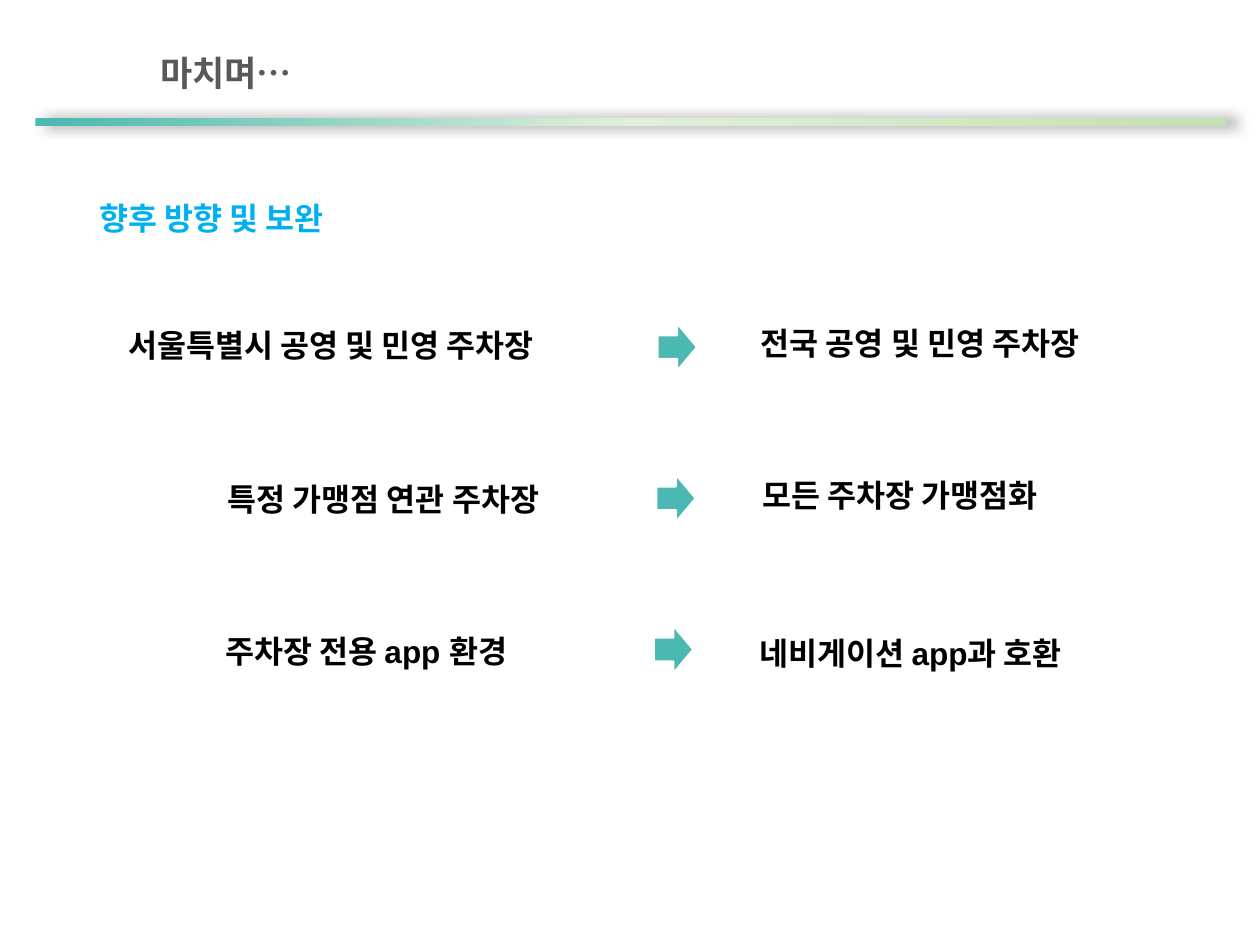
from copy import deepcopy
from dataclasses import dataclass

from lxml import etree
from pptx import Presentation
from pptx.dml.color import RGBColor
from pptx.enum.shapes import MSO_SHAPE
from pptx.enum.text import MSO_ANCHOR, MSO_AUTO_SIZE, PP_ALIGN
from pptx.oxml.ns import qn
from pptx.util import Inches, Pt

RECTANGLE = MSO_SHAPE.RECTANGLE
RIGHT_ARROW = MSO_SHAPE.RIGHT_ARROW
LEFT, CENTER = PP_ALIGN.LEFT, PP_ALIGN.CENTER
TOP = MSO_ANCHOR.TOP
FIT_SHAPE = MSO_AUTO_SIZE.SHAPE_TO_FIT_TEXT
TITLE_ONLY = 5


@dataclass(frozen=True)
class Theme:
    """Colours, fonts and type sizes of the slide."""
    teal: str = "4BB9B1"
    pale_green: str = "E2F0D9"
    green: str = "C5E0B4"
    white: str = "FFFFFF"
    ink: str = "000000"
    title_grey: str = "595959"
    heading_blue: str = "00B0F0"
    latin: str = "Arial"
    korean: str = "Noto Sans CJK KR"
    title_size: int = 20
    body_size: int = 18


THEME = Theme()

DIRECTIONS = [
    ("서울특별시 공영 및 민영 주차장", (0.92, 2.54, 3.88), 5.22,
     "전국 공영 및 민영 주차장", (5.94, 2.52, 3.13)),
    ("특정 가맹점 연관 주차장", (1.71, 3.76, 3.07), 5.21,
     "모든 주차장 가맹점화", (5.95, 3.73, 3.13)),
    ("주차장 전용 app 환경", (1.69, 4.97, 3.07), 5.19,
     "네비게이션 app과 호환", (5.93, 4.98, 3.13)),
]
FIRST_ARROW_TOP, ARROW_STEP = 2.57, 1.2


def place(shape, box):
    """Move and size a shape to a box given in inches."""
    shape.left, shape.top, shape.width, shape.height = map(Inches, box)


def write(shape, text, *, size=THEME.body_size, color=THEME.ink,
          font=THEME.latin, align=LEFT, spacing=1.0):
    """Put one bold formatted paragraph into a shape."""
    frame = shape.text_frame
    frame.text = text
    frame.word_wrap = True
    frame.auto_size = FIT_SHAPE
    frame.vertical_anchor = TOP
    paragraph = frame.paragraphs[0]
    paragraph.alignment = align
    paragraph.line_spacing = spacing
    paragraph.space_before = Pt(0)
    run = paragraph.runs[0]
    run.font.name = font
    run.font.size = Pt(size)
    run.font.bold = True
    run.font.color.rgb = RGBColor.from_string(color)
    east_asian = etree.Element(qn("a:ea"), typeface=THEME.korean)
    run.font._element.find(qn("a:latin")).addnext(east_asian)


def add_label(slide, text, box, **style):
    """Add a text box holding one formatted line."""
    label = slide.shapes.add_textbox(*map(Inches, box))
    write(label, text, **style)


def add_arrow(slide, box):
    """Add a teal arrow with a white outline."""
    arrow = slide.shapes.add_shape(RIGHT_ARROW, *map(Inches, box))
    arrow.shadow.inherit = False
    arrow.fill.solid()
    arrow.fill.fore_color.rgb = RGBColor.from_string(THEME.teal)
    arrow.line.color.rgb = RGBColor.from_string(THEME.white)
    arrow.line.width = Pt(1)


def add_shadow(shape, color, opacity, blur, distance):
    """Give a shape an outer shadow cast to the right."""
    shape.shadow.inherit = False
    effects = shape._element.spPr.find(qn("a:effectLst"))
    shadow = etree.SubElement(
        effects, qn("a:outerShdw"), blurRad=str(Pt(blur)),
        dist=str(Pt(distance)), dir="0", algn="l", rotWithShape="0")
    tone = etree.SubElement(shadow, qn("a:srgbClr"), val=color)
    etree.SubElement(tone, qn("a:alpha"), val=str(opacity * 1000))


def add_divider(slide, box):
    """Add the three-colour gradient bar under the title."""
    divider = slide.shapes.add_shape(RECTANGLE, *map(Inches, box))
    divider.line.fill.background()
    divider.fill.gradient()
    divider.fill.gradient_angle = 315
    stop_list = divider._element.spPr.find(".//" + qn("a:gsLst"))
    stop_list.append(deepcopy(stop_list[-1]))
    colors = (THEME.teal, THEME.pale_green, THEME.green)
    positions = (0.01, 0.5, 1.0)
    for stop, color, position in zip(divider.fill.gradient_stops, colors, positions):
        stop.color.rgb = RGBColor.from_string(color)
        stop.position = position
    add_shadow(divider, THEME.ink, opacity=55, blur=8, distance=6)


def add_header(slide, title_box, divider_box):
    """Place the title and its divider."""
    add_divider(slide, divider_box)
    title = slide.shapes.title
    place(title, title_box)
    write(title, "마치며…", size=THEME.title_size, color=THEME.title_grey,
          font=THEME.korean, spacing=1.5)


def add_direction(slide, current, current_box, arrow_box, future, future_box):
    """Place one row leading from the current state to the future one."""
    add_label(slide, current, current_box)
    add_label(slide, future, future_box)
    add_arrow(slide, arrow_box)


def main():
    """Build and save the closing slide."""
    deck = Presentation()
    deck.slide_width, deck.slide_height = Inches(10), Inches(7.5)
    slide = deck.slides.add_slide(deck.slide_layouts[TITLE_ONLY])
    add_header(slide, (1.17, 0.19, 4.99, 0.53), (0.28, 0.94, 9.45, 0.06))
    add_label(slide, "향후 방향 및 보완", (0.54, 1.53, 2.28, 0.4),
              color=THEME.heading_blue, font=THEME.korean, align=CENTER)
    for row, (current, current_box, arrow_left, future, future_box) in enumerate(DIRECTIONS):
        arrow_box = (arrow_left, FIRST_ARROW_TOP + row * ARROW_STEP, 0.31, 0.37)
        add_direction(slide, current, (*current_box, 0.4), arrow_box,
                      future, (*future_box, 0.4))
    deck.save("out.pptx")


if __name__ == "__main__":
    main()
